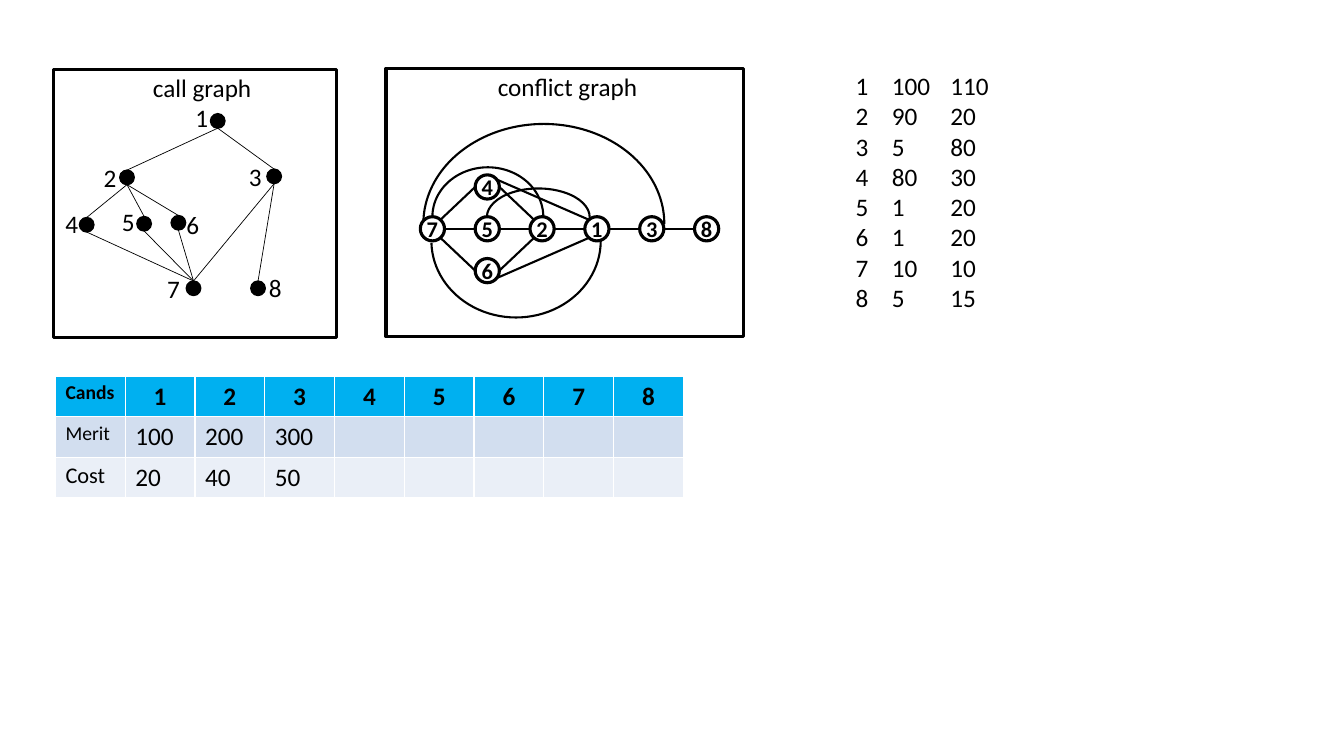
from lxml import etree
from pptx import Presentation
from pptx.dml.color import RGBColor
from pptx.enum.shapes import MSO_CONNECTOR as Conn, MSO_SHAPE as Shape
from pptx.enum.text import MSO_ANCHOR as Anchor, PP_ALIGN as Align
from pptx.oxml.ns import qn
from pptx.util import Inches, Pt

COLORS = {"ink": "000000", "paper": "FFFFFF", "head": "00B0F0",
          "band1": "D2DEEF", "band2": "EAEFF7"}
COLS, ROWS = 133.33, 75  # slide grid


def grid(n):
    """Length of n grid cells, each a tenth of an inch."""
    return Inches(n / 10)


def rgb(name):
    return RGBColor.from_string(COLORS[name])


def add_run(p, text, size=18, bold=False):
    r = p.add_run()
    r.text = text
    r.font.name, r.font.size, r.font.bold = "Calibri", Pt(size), bold
    r.font.color.rgb = rgb("ink")


def add_text(s, x, y, w, h, lines, align=Align.LEFT, wrap=False):
    tf = s.shapes.add_textbox(*map(grid, (x, y, w, h))).text_frame
    tf.word_wrap = wrap
    for i, line in enumerate(lines):
        p = tf.paragraphs[0] if i == 0 else tf.add_paragraph()
        p.alignment = align
        add_run(p, line)
    return tf


def add_outline(s, kind, x, y, w, h, weight, fill=None):
    sp = s.shapes.add_shape(kind, *map(grid, (x, y, w, h)))
    sp.shadow.inherit = False
    sp.line.color.rgb, sp.line.width = rgb("ink"), Pt(weight)
    if fill:
        sp.fill.solid()
        sp.fill.fore_color.rgb = rgb(fill)
    else:
        sp.fill.background()
    return sp


def add_edge(s, x1, y1, x2, y2, weight):
    line = s.shapes.add_connector(Conn.STRAIGHT, *map(grid, (x1, y1, x2, y2)))
    line.line.color.rgb, line.line.width = rgb("ink"), Pt(weight)
    etree.SubElement(line._element.spPr, qn("a:effectLst"))


def panel(s, box, title, title_center):
    x, y, w, h = box
    add_outline(s, Shape.RECTANGLE, x, y, w, h, 2.25)
    add_text(s, x + title_center - 8, y - 0.25, 16, 4, [title], Align.CENTER)


def call_graph(s, box):
    left, top = box[:2]
    radius = 0.72
    panel(s, box, "call graph", 14.75)
    # node: centre, then offset of its label
    nodes = {1: (16.3, 5.1, -3.2, -2.3), 2: (7.3, 10.7, -3.3, -2),
             3: (21.9, 10.6, -3.5, -2), 4: (3.3, 15.4, -3.1, -2.1),
             5: (9, 15.3, -3.2, -2.2), 6: (12.4, 15.2, -0.2, -1.8),
             7: (13.9, 21.7, -3.6, -2), 8: (20.3, 21.7, 0.1, -2.1)}
    calls = {1: (2, 3), 2: (4, 5, 6), 3: (7, 8), 4: (7,), 5: (7,), 6: (7,)}
    for name, (x, y, dx, dy) in nodes.items():
        x, y = left + x, top + y
        add_outline(s, Shape.OVAL, x - radius, y - radius,
                    2 * radius, 2 * radius, 1, "ink")
        add_text(s, x + dx, y + dy, 3.3, 4, [str(name)])
    for caller, callees in calls.items():
        for callee in callees:
            (x1, y1), (x2, y2) = nodes[caller][:2], nodes[callee][:2]
            add_edge(s, left + x1, top + y1 + radius,
                     left + x2, top + y2 - radius, 0.5)


def conflict_graph(s, box):
    left, top = box[:2]
    radius, step, spread = 1.2, 5.44, 4.15
    panel(s, box, "conflict graph", 18)
    # nodes: one chain, with 4 above and 6 below node 5
    chain = (7, 5, 2, 1, 3, 8)
    mid = top + 15.9
    nodes = {n: (left + 4.6 + i * step, mid) for i, n in enumerate(chain)}
    for n, side in ((4, -1), (6, 1)):
        nodes[n] = (nodes[5][0], mid + side * spread)
    for n, (x, y) in nodes.items():
        sp = add_outline(s, Shape.OVAL, x - radius, y - radius,
                         2 * radius, 2 * radius, 2.25, "paper")
        tf = sp.text_frame
        tf.margin_left = tf.margin_right = tf.margin_top = tf.margin_bottom = 0
        tf.word_wrap, tf.vertical_anchor = False, Anchor.MIDDLE
        tf.paragraphs[0].alignment = Align.CENTER
        add_run(tf.paragraphs[0], str(n), 16, True)
    # straight edges
    for a, b in zip(chain, chain[1:]):
        add_edge(s, nodes[a][0] + radius, mid, nodes[b][0] - radius, mid, 1.5)
    for n, side in ((4, -1), (6, 1)):
        x, y = nodes[n]
        for dx, dy, other, end in ((-radius, 0, 7, 0.8), (radius, 0, 2, -0.8),
                                   (0.8, 0.8, 1, -0.8)):
            add_edge(s, x + dx, y + side * dy,
                     nodes[other][0] + end, mid + side * 0.9, 1.5)
    # curved edges: box, end angle, below the chain or not
    for x, y, w, h, end, below in ((10, 11.9, 10.2, 5.7, 0.43, False),
                                   (3.7, 5.5, 23.9, 19.8, 0.14, False),
                                   (4.6, 9.8, 11, 9.8, 0.43, False),
                                   (4.5, 9.5, 16.8, 15.2, 0.31, True)):
        arc = add_outline(s, Shape.ARC, left + x, top + y, w, h, 1.5)
        arc.adjustments[0], arc.adjustments[1] = 108.81, end
        if below:
            arc._element.spPr.find(qn("a:xfrm")).set("flipV", "1")


def number_list(s, box):
    pairs = ((100, 110), (90, 20), (5, 80), (80, 30),
             (1, 20), (1, 20), (10, 10), (5, 15))
    lines = [f"{i}\t{a}\t{b}" for i, (a, b) in enumerate(pairs, 1)]
    tf = add_text(s, *box, lines, wrap=True)
    for p in tf.paragraphs:
        tabs = etree.SubElement(p._p.get_or_add_pPr(), qn("a:tabLst"))
        for stop in (3.6, 9.4):
            etree.SubElement(tabs, qn("a:tab"), pos=str(grid(stop)), algn="l")


def candidate_table(s, box):
    rows = (("Cands", *range(1, 9)), ("Merit", 100, 200, 300),
            ("Cost", 20, 40, 50))
    label_sizes = (14, 14, 16)
    fills = ("head", "band1", "band2")
    table = s.shapes.add_table(3, 9, *map(grid, box)).table
    for i, values in enumerate(rows):
        for j in range(9):
            cell = table.cell(i, j)
            cell.fill.solid()
            cell.fill.fore_color.rgb = rgb(fills[i])
            if j < len(values):
                p = cell.text_frame.paragraphs[0]
                if i == 0 and j > 0:
                    p.alignment = Align.CENTER
                add_run(p, str(values[j]), 18 if j else label_sizes[i], i == 0)


def main():
    prs = Presentation()
    prs.slide_width, prs.slide_height = grid(COLS), grid(ROWS)
    s = prs.slides.add_slide(prs.slide_layouts[6])
    conflict_graph(s, (38.3, 6.8, 35.5, 26.6))
    call_graph(s, (5.3, 6.9, 28.1, 26.6))
    number_list(s, (83.9, 6.5, 42.5, 25.2))
    candidate_table(s, (5.5, 37.3, 62.3, 12.1))
    prs.save("out.pptx")


if __name__ == "__main__":
    main()
